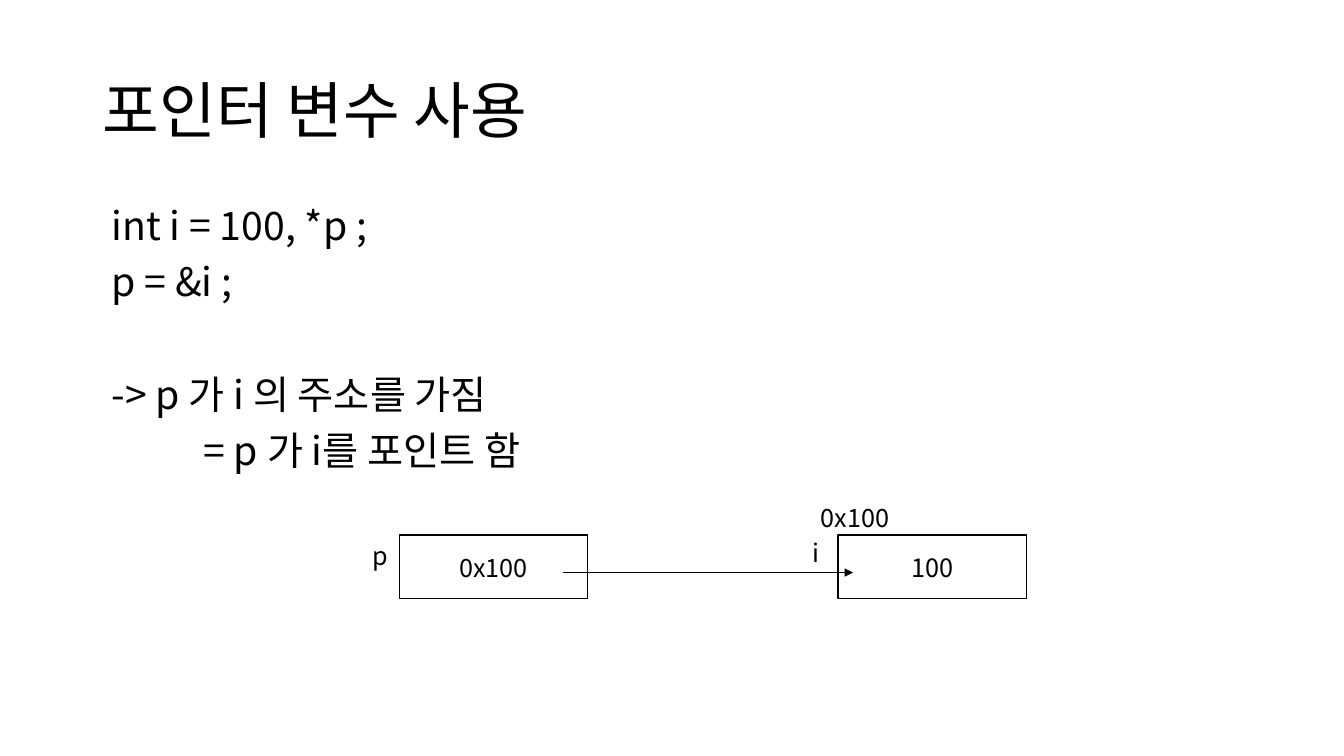
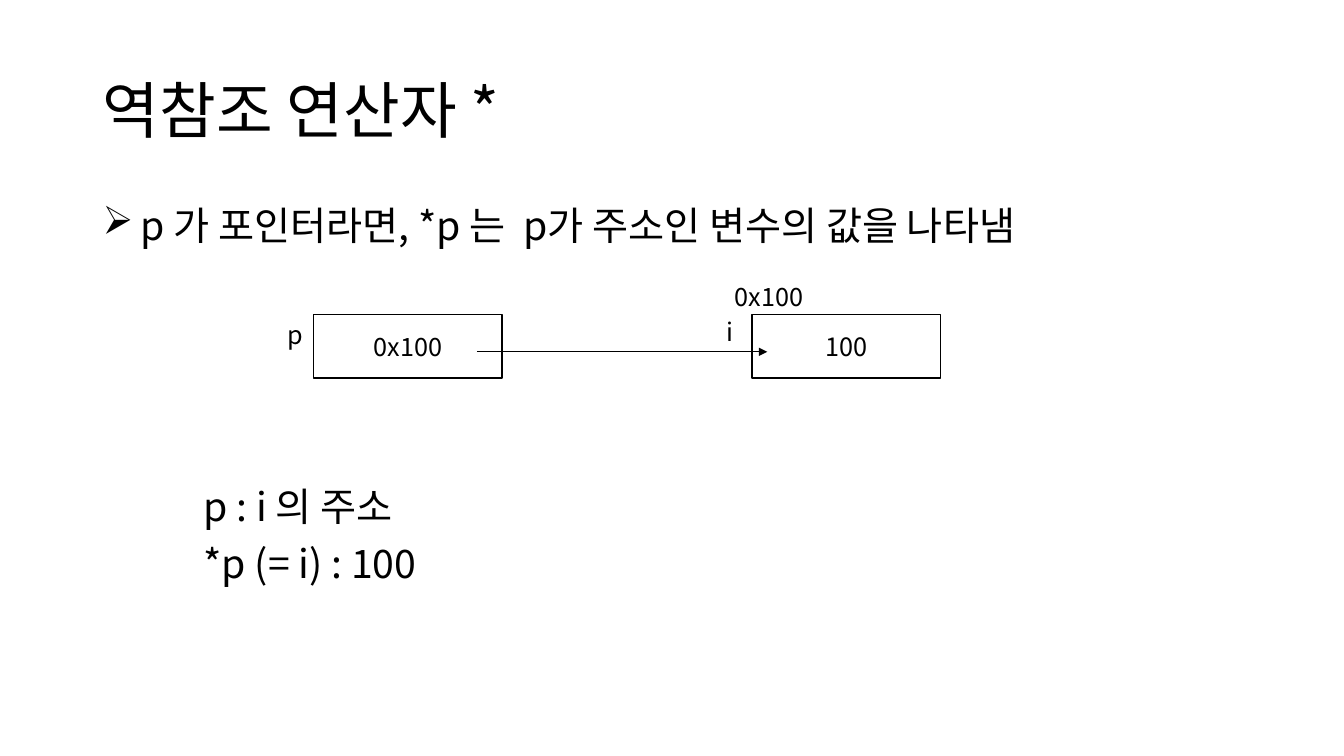
from dataclasses import dataclass

from lxml.etree import SubElement
from pptx import Presentation
from pptx.dml.color import RGBColor
from pptx.enum.shapes import MSO_CONNECTOR, MSO_SHAPE
from pptx.enum.text import MSO_ANCHOR as Anchor, MSO_AUTO_SIZE as AutoSize, PP_ALIGN as Align
from pptx.oxml.ns import qn
from pptx.presentation import Presentation as Deck
from pptx.shapes.group import GroupShape
from pptx.slide import Slide
from pptx.text.text import TextFrame, _Paragraph as Paragraph
from pptx.util import Inches, Pt

BLACK = RGBColor(0x00, 0x00, 0x00)
WHITE = RGBColor(0xFF, 0xFF, 0xFF)
FONT = "Noto Sans CJK KR"
TITLE_SIZE, BODY_SIZE, LABEL_SIZE = 44, 28, 18
MARGIN, CONTENT_WIDTH = 0.92, 11.5
LINE_SPACING, PARAGRAPH_GAP, LINE_PITCH = 0.9, 10, 40.2
CODE_INDENT, TAB_INDENT, BULLET_INDENT = 0.09, 1.0, 0.38
CELL_WIDTH, CELL_HEIGHT = 1.87, 0.63


@dataclass(frozen=True)
class BodyLine:
    text: str
    indent: float = CODE_INDENT
    skipped_lines: int = 0
    bullet: str = ""


@dataclass(frozen=True)
class Cell:
    text: str
    left: float


@dataclass(frozen=True)
class Label:
    text: str
    left: float
    top: float
    width: float = 0.36


@dataclass(frozen=True)
class Lesson:
    title: str
    lines: tuple[BodyLine, ...]
    diagram_left: float
    diagram_top: float


CELLS = (Cell("0x100", 0), Cell("100", 4.35))
LABELS = (
    Label("p", -0.36, 0),
    Label("i", 4.0, -0.03),
    Label("0x100", 4.08, -0.38, 1.5),
)
ARROW_START, ARROW_END, ARROW_TOP = 1.62, 4.5, 0.37

LESSONS = (
    Lesson(
        "포인터 변수 사용",
        (
            BodyLine("int i = 100, *p ;"),
            BodyLine("p = &i ;"),
            BodyLine("-> p 가 i 의 주소를 가짐", skipped_lines=1),
            BodyLine("= p 가 i를 포인트 함", TAB_INDENT),
        ),
        3.96,
        5.31,
    ),
    Lesson(
        "역참조 연산자 *",
        (
            BodyLine("p 가 포인터라면, *p 는  p가 주소인 변수의 값을 나타냄", BULLET_INDENT, bullet="➢"),
            BodyLine("p : i 의 주소", TAB_INDENT, skipped_lines=4),
            BodyLine("*p (= i) : 100", TAB_INDENT),
        ),
        3.11,
        3.12,
    ),
)


def format_text(para: Paragraph, size: int) -> None:
    for span in para.runs:
        span.font.name = FONT
        span.font.size = Pt(size)
        span.font.color.rgb = BLACK
        SubElement(span.font._element, qn("a:ea"), typeface=FONT)


def set_text(frame: TextFrame, text: str, size: int, align: Align = Align.LEFT) -> None:
    frame.text = text
    para = frame.paragraphs[0]
    para.alignment = align
    format_text(para, size)


def add_title(page: Slide, text: str) -> None:
    title = page.shapes.title
    title.left, title.top = Inches(MARGIN), Inches(0.4)
    title.width, title.height = Inches(CONTENT_WIDTH), Inches(1.45)
    frame = title.text_frame
    frame.auto_size = AutoSize.NONE
    frame.vertical_anchor = Anchor.MIDDLE
    set_text(frame, text, TITLE_SIZE)
    frame.paragraphs[0].line_spacing = LINE_SPACING


def add_body(page: Slide, lines: tuple[BodyLine, ...]) -> None:
    box = page.shapes.add_textbox(Inches(MARGIN), Inches(2), Inches(CONTENT_WIDTH), Inches(4.76))
    frame = box.text_frame
    frame.word_wrap = True
    frame.text = "\n".join(line.text for line in lines)
    for para, line in zip(frame.paragraphs, lines):
        para.line_spacing = LINE_SPACING
        para.space_before = Pt(PARAGRAPH_GAP + line.skipped_lines * LINE_PITCH)
        properties = para._p.get_or_add_pPr()
        properties.set("marL", str(Inches(line.indent)))
        if line.bullet:
            properties.set("indent", str(-Inches(line.indent)))
            SubElement(properties, qn("a:buChar"), char=line.bullet)
        format_text(para, BODY_SIZE)


def add_cell(diagram: GroupShape, cell: Cell, left: float, top: float) -> None:
    box = diagram.shapes.add_shape(
        MSO_SHAPE.RECTANGLE,
        Inches(left + cell.left), Inches(top), Inches(CELL_WIDTH), Inches(CELL_HEIGHT),
    )
    box.shadow.inherit = False
    box.fill.solid()
    box.fill.fore_color.rgb = WHITE
    box.line.color.rgb = BLACK
    box.line.width = Pt(1)
    box.text_frame.vertical_anchor = Anchor.MIDDLE
    set_text(box.text_frame, cell.text, LABEL_SIZE, Align.CENTER)


def add_label(diagram: GroupShape, label: Label, left: float, top: float) -> None:
    box = diagram.shapes.add_textbox(
        Inches(left + label.left), Inches(top + label.top), Inches(label.width), Inches(0.4)
    )
    box.text_frame.word_wrap = True
    set_text(box.text_frame, label.text, LABEL_SIZE)


def add_arrow(diagram: GroupShape, left: float, top: float) -> None:
    height = Inches(top + ARROW_TOP)
    arrow = diagram.shapes.add_connector(
        MSO_CONNECTOR.STRAIGHT, Inches(left + ARROW_START), height, Inches(left + ARROW_END), height
    )
    arrow.line.color.rgb = BLACK
    arrow.line.width = Pt(0.5)
    SubElement(arrow.line._get_or_add_ln(), qn("a:tailEnd"), type="triangle")
    SubElement(arrow._element.spPr, qn("a:effectLst"))


def add_diagram(page: Slide, left: float, top: float) -> None:
    diagram = page.shapes.add_group_shape()
    for cell in CELLS:
        add_cell(diagram, cell, left, top)
    for label in LABELS:
        add_label(diagram, label, left, top)
    add_arrow(diagram, left, top)


def add_lesson(deck: Deck, lesson: Lesson) -> None:
    page = deck.slides.add_slide(deck.slide_layouts.get_by_name("Title Only"))
    add_title(page, lesson.title)
    add_body(page, lesson.lines)
    add_diagram(page, lesson.diagram_left, lesson.diagram_top)


def main() -> None:
    deck = Presentation()
    deck.slide_width, deck.slide_height = Inches(13.33), Inches(7.5)
    for lesson in LESSONS:
        add_lesson(deck, lesson)
    deck.save("out.pptx")


if __name__ == "__main__":
    main()
